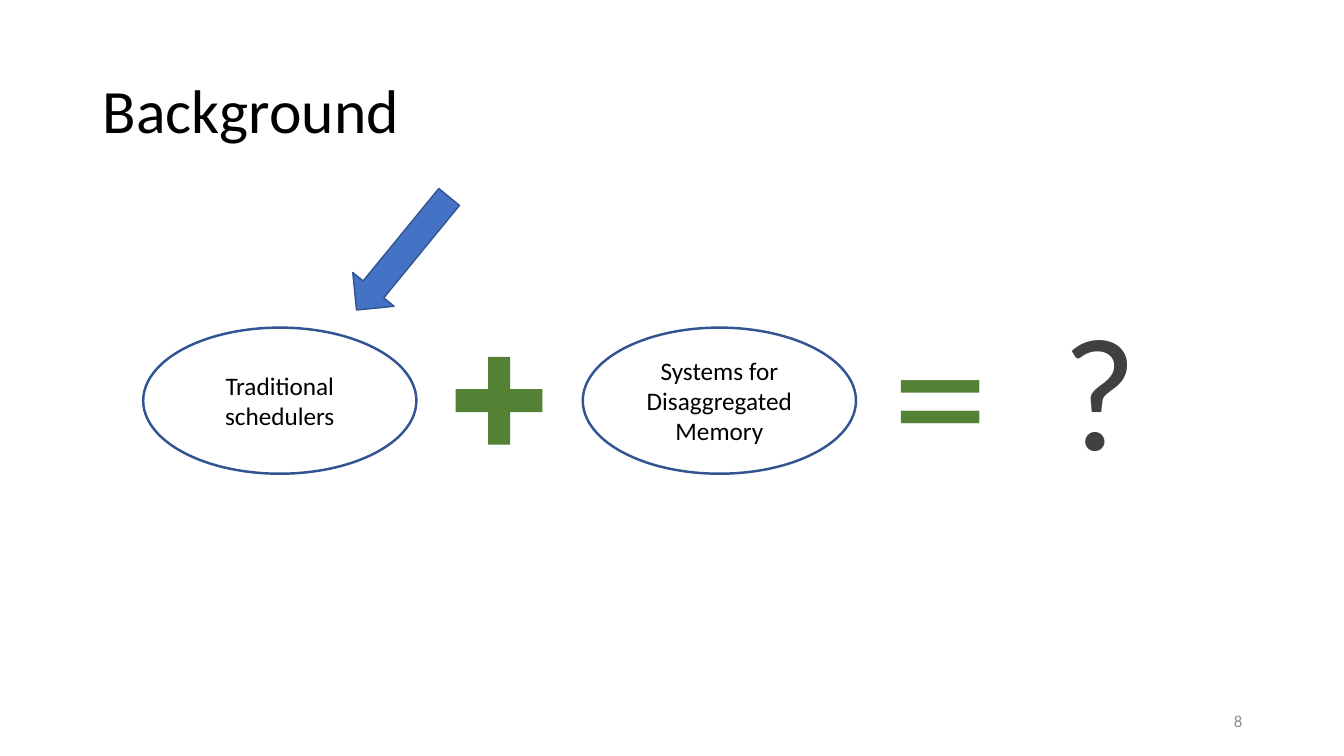
"""Build the Background slide: traditional schedulers plus disaggregated memory systems."""
from pptx import Presentation
from pptx.dml.color import RGBColor
from pptx.enum import shapes, text
from pptx.util import Inches, Pt

BLACK = RGBColor(0x00, 0x00, 0x00)
GREY = RGBColor(0x8C, 0x8C, 0x8C)
DARK = RGBColor(0x40, 0x40, 0x40)
GREEN = RGBColor(0x54, 0x82, 0x35)
BLUE = RGBColor(0x44, 0x72, 0xC4)
NAVY = RGBColor(0x32, 0x54, 0x91)


def write(shape, words, size, color, align, anchor=text.MSO_ANCHOR.MIDDLE):
    frame = shape.text_frame
    frame.text = words
    frame.vertical_anchor = anchor
    paragraph = frame.paragraphs[0]
    paragraph.alignment = align
    font = paragraph.runs[0].font
    font.name, font.size, font.color.rgb = "Calibri", Pt(size), color


def draw(kind, left, top, width, height, fill=None, line=None, weight=1):
    shape = slide.shapes.add_shape(
        kind, Inches(left), Inches(top), Inches(width), Inches(height))
    shape.shadow.inherit = False
    if fill is None:
        shape.fill.background()
    else:
        shape.fill.solid()
        shape.fill.fore_color.rgb = fill
    if line is None:
        shape.line.fill.background()
    else:
        shape.line.color.rgb = line
        shape.line.width = Pt(weight)
    return shape


deck = Presentation()
deck.slide_width, deck.slide_height = Inches(13.33), Inches(7.5)
slide = deck.slides.add_slide(deck.slide_layouts[5])

heading = slide.shapes.title
heading.left, heading.top = Inches(0.92), Inches(0.4)
heading.width, heading.height = Inches(11.5), Inches(1.45)
write(heading, "Background", 44, BLACK, text.PP_ALIGN.LEFT)
heading.text_frame.auto_size = text.MSO_AUTO_SIZE.NONE
heading.text_frame.paragraphs[0].line_spacing = 0.9

page_number = slide.shapes.add_textbox(Inches(9.42), Inches(6.95), Inches(3), Inches(0.4))
page_number.text_frame.word_wrap = True
write(page_number, "8", 12, GREY, text.PP_ALIGN.RIGHT)

plus = draw(shapes.MSO_SHAPE.CROSS, 4.52, 3.54, 0.86, 0.87, fill=GREEN)
plus.adjustments[0] = 0.373

for left, topic in [(1.42, "Traditional schedulers"),
                    (5.78, "Systems for Disaggregated Memory")]:
    oval = draw(shapes.MSO_SHAPE.OVAL, left, 3.25, 2.71, 1.45, line=NAVY, weight=1.75)
    write(oval, topic, 18, BLACK, text.PP_ALIGN.CENTER)

for symbol, left, top, width, height, size, color in [
        ("=", 8.75, 2.63, 1.17, 2.42, 138, GREEN),
        ("?", 10.44, 2.82, 0.95, 2.04, 115, DARK)]:
    sign = slide.shapes.add_textbox(Inches(left), Inches(top), Inches(width), Inches(height))
    sign.text_frame.word_wrap = False
    sign.text_frame.auto_size = text.MSO_AUTO_SIZE.SHAPE_TO_FIT_TEXT
    write(sign, symbol, size, color, text.PP_ALIGN.LEFT, text.MSO_ANCHOR.TOP)

pointer = draw(shapes.MSO_SHAPE.UP_ARROW, 3.73, 1.79, 0.53, 1.45, fill=BLUE, line=NAVY)
pointer.rotation = 219.3

deck.save("out.pptx")
